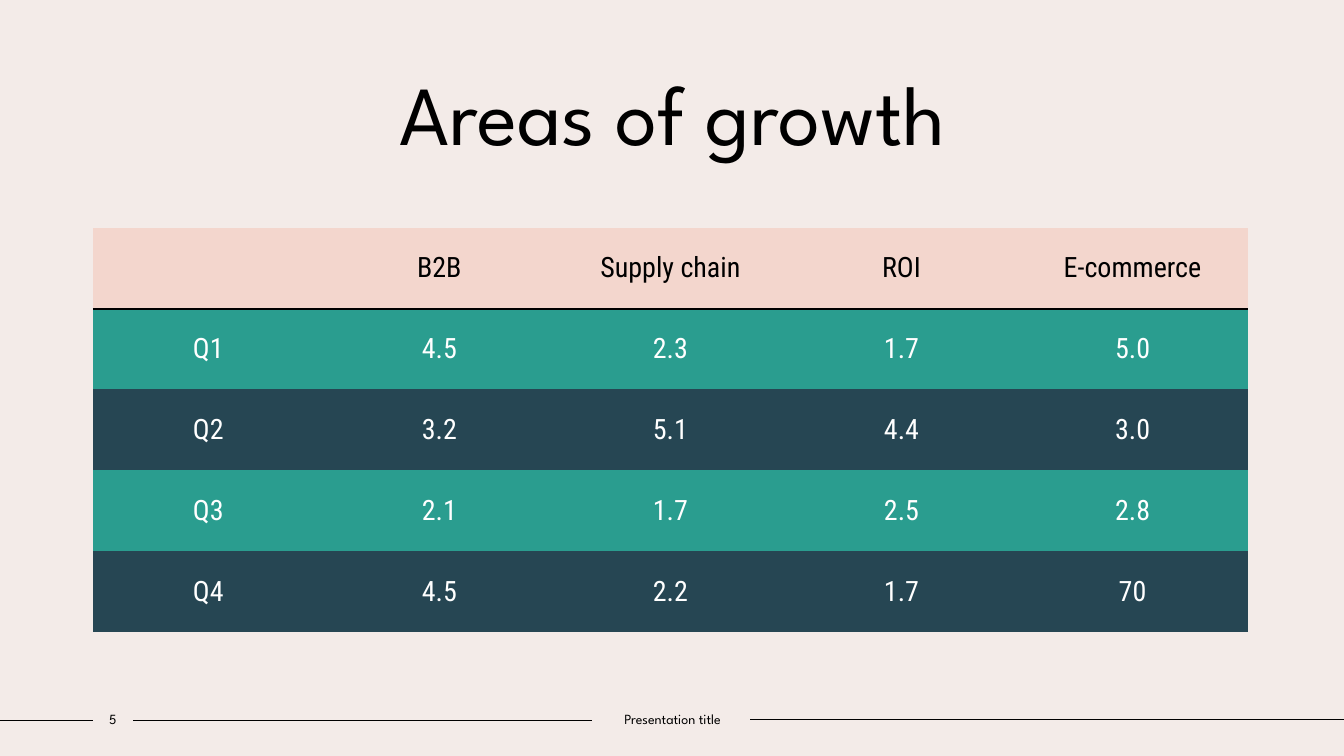
from lxml import etree
from pptx import Presentation
from pptx.dml.color import RGBColor
from pptx.enum.shapes import MSO_CONNECTOR
from pptx.enum.text import MSO_ANCHOR, PP_ALIGN
from pptx.oxml.ns import qn
from pptx.util import Inches, Pt

STRAIGHT = MSO_CONNECTOR.STRAIGHT
MIDDLE = MSO_ANCHOR.MIDDLE
CENTER = PP_ALIGN.CENTER

CREAM = RGBColor(0xF3, 0xEB, 0xE8)
BLUSH = RGBColor(0xF3, 0xD6, 0xCD)
TEAL = RGBColor(0x2A, 0x9D, 0x8F)
NAVY = RGBColor(0x26, 0x46, 0x53)
BLACK = RGBColor(0x00, 0x00, 0x00)
WHITE = RGBColor(0xFF, 0xFF, 0xFF)

HEADING_FONT = "League Spartan"
TABLE_FONT = "Roboto Condensed"

MARGIN = 0.92
TABLE_TOP, TABLE_WIDTH, TABLE_HEIGHT = 2.26, 11.46, 4.01
FOOTER_TOP, FOOTER_HEIGHT = 7, 0.27

GROWTH = [
    ["", "B2B", "Supply chain", "ROI", "E-commerce"],
    ["Q1", "4.5", "2.3", "1.7", "5.0"],
    ["Q2", "3.2", "5.1", "4.4", "3.0"],
    ["Q3", "2.1", "1.7", "2.5", "2.8"],
    ["Q4", "4.5", "2.2", "1.7", "70"],
]
FOOTER_RULES = [(0, MARGIN, 7.15), (1.32, 5.87, 7.15), (7.44, 13.33, 7.14)]
FOOTER_LABELS = [("5", MARGIN, 0.4), ("Presentation title", 5.87, 1.6)]


def write(frame, text, font_name, size, color):
    frame.text = text
    paragraph = frame.paragraphs[0]
    paragraph.alignment = CENTER
    font = paragraph.runs[0].font if text else paragraph.font
    for name, value in {"name": font_name, "size": Pt(size), "bold": False}.items():
        setattr(font, name, value)
    font.color.rgb = color


def set_borders(cell, ruled_sides):
    properties = cell._tc.get_or_add_tcPr()
    for side in "LRTB":
        border = etree.SubElement(properties, qn(f"a:ln{side}"))
        if side in ruled_sides:
            border.set("w", str(Pt(1.5)))
            fill = etree.SubElement(border, qn("a:solidFill"))
            etree.SubElement(fill, qn("a:srgbClr"), val=str(BLACK))
        else:
            etree.SubElement(border, qn("a:noFill"))


presentation = Presentation()
presentation.slide_width = Inches(13.33)
presentation.slide_height = Inches(7.5)
slide = presentation.slides.add_slide(presentation.slide_layouts[5])
slide.background.fill.solid()
slide.background.fill.fore_color.rgb = CREAM

for start, end, y in FOOTER_RULES:
    rule = slide.shapes.add_connector(
        STRAIGHT, Inches(start), Inches(y), Inches(end), Inches(y)
    )
    rule.line.color.rgb = BLACK
    rule.line.width = Pt(1)
    etree.SubElement(rule._element.spPr, qn("a:effectLst"))

title = slide.shapes.title
title_box = {"left": 1.25, "top": 0.56, "width": 10.84, "height": 1.11}
for name, value in title_box.items():
    setattr(title, name, Inches(value))
title.text_frame.vertical_anchor = MIDDLE
write(title.text_frame, "Areas of growth", HEADING_FONT, 60, BLACK)

table = slide.shapes.add_table(
    len(GROWTH), len(GROWTH[0]), Inches(MARGIN), Inches(TABLE_TOP),
    Inches(TABLE_WIDTH), Inches(TABLE_HEIGHT),
).table
for row, values in enumerate(GROWTH):
    row_fill = BLUSH if row == 0 else (NAVY, TEAL)[row % 2]
    text_color = BLACK if row == 0 else WHITE
    ruled_sides = {0: "B", 1: "T"}.get(row, "")
    for column, value in enumerate(values):
        cell = table.cell(row, column)
        set_borders(cell, ruled_sides)
        cell.fill.solid()
        cell.fill.fore_color.rgb = row_fill
        cell.vertical_anchor = MIDDLE
        write(cell.text_frame, value, TABLE_FONT, 20, text_color)

for text, left, width in FOOTER_LABELS:
    label = slide.shapes.add_textbox(
        Inches(left), Inches(FOOTER_TOP), Inches(width), Inches(FOOTER_HEIGHT)
    )
    frame = label.text_frame
    frame.word_wrap = True
    frame.vertical_anchor = MIDDLE
    frame.margin_left = frame.margin_right = 0
    write(frame, text, HEADING_FONT, 10, BLACK)

presentation.save("out.pptx")
